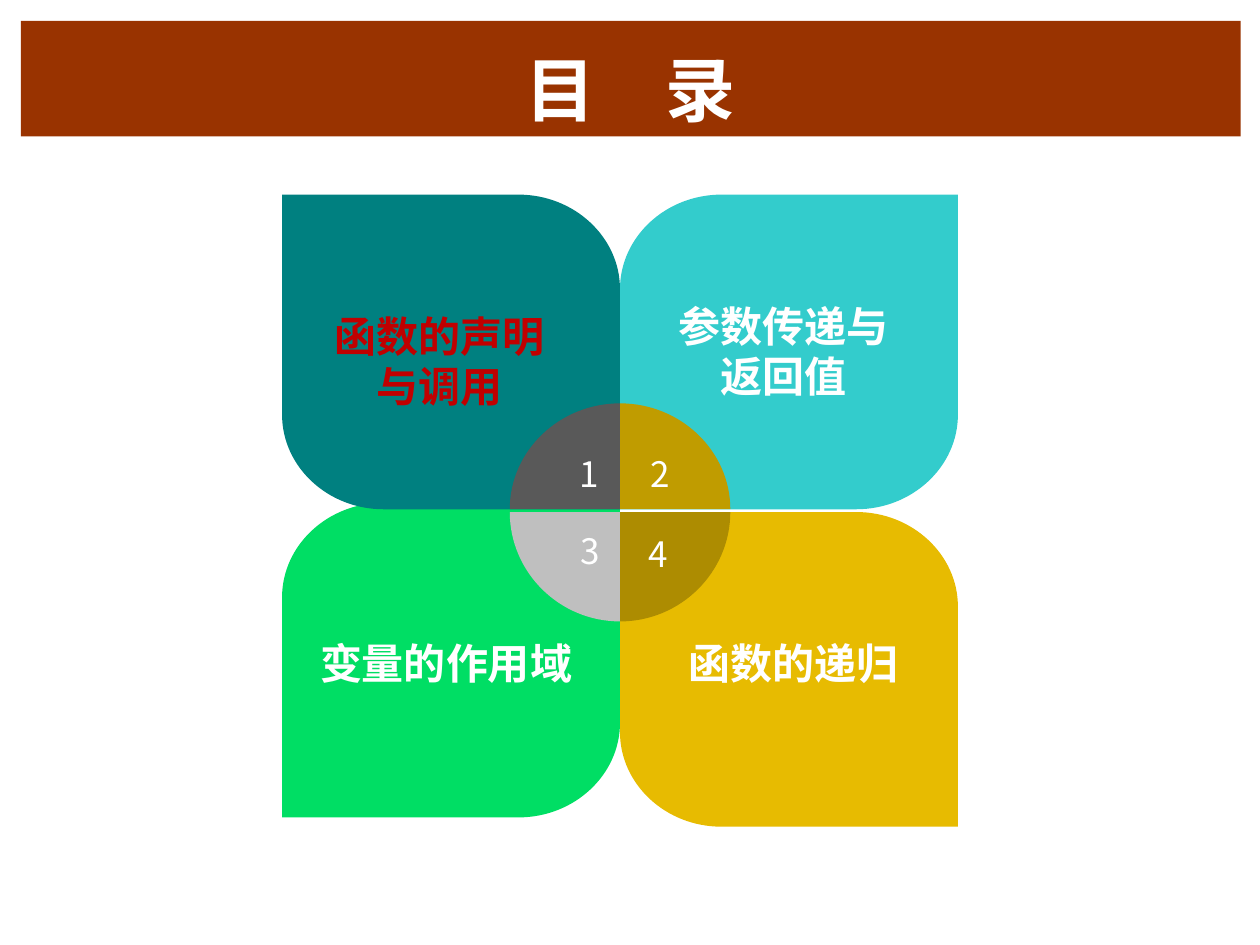
from lxml.etree import SubElement
from pptx import Presentation
from pptx.dml.color import RGBColor
from pptx.enum.shapes import MSO_SHAPE
from pptx.enum.text import MSO_ANCHOR, PP_ALIGN
from pptx.oxml.ns import qn
from pptx.util import Pt

WHITE = RGBColor(0xFF, 0xFF, 0xFF)
BROWN = RGBColor(0x99, 0x33, 0x00)
DARK_RED = RGBColor(0xC0, 0x00, 0x00)
GOLD = RGBColor(0xE7, 0xBB, 0x01)
GREEN = RGBColor(0x00, 0xDE, 0x64)
TURQUOISE = RGBColor(0x33, 0xCC, 0xCC)
TEAL = RGBColor(0x00, 0x80, 0x80)
DARK_GRAY = RGBColor(0x59, 0x59, 0x59)
OCHRE = RGBColor(0xC0, 0x9C, 0x00)
LIGHT_GRAY = RGBColor(0xBF, 0xBF, 0xBF)
OLIVE = RGBColor(0xAD, 0x8C, 0x01)

CJK_FONT = "Noto Sans CJK SC"
TITLE = "目　录"

# Petals, back to front: x and y direction from the centre, inner edge, colour
PETALS = [
    (1, 1, 292.6, GOLD),
    (-1, 1, 287.3, GREEN),
    (1, -1, 291, TURQUOISE),
    (-1, -1, 291, TEAL),
]
# Quarter discs: directions, inner edge, height, colour
QUARTERS = [
    (-1, -1, 291, 60.5, DARK_GRAY),
    (1, -1, 291, 60.5, OCHRE),
    (-1, 1, 292.6, 62.5, LIGHT_GRAY),
    (1, 1, 292.6, 62.5, OLIVE),
]
# Text, then left, top, width, height
NUMBERS = [
    ("1", (326.2, 258.5, 15.8, 24.2)),
    ("2", (366.8, 258.5, 15.8, 24.2)),
    ("3", (329.4, 302.4, 13.7, 24.2)),
    ("4", (365.8, 304.2, 15.8, 24.2)),
]
TOPICS = [
    ("函数的声明与调用", (190.1, 173.8, 122.4, 61.9), DARK_RED),
    ("参数传递与返回值", (376.9, 168, 141.8, 61.9), WHITE),
    ("变量的作用域", (161.3, 360.7, 187.2, 32.4), WHITE),
    ("函数的递归", (360, 360.7, 187.2, 32.4), WHITE),
]

CENTER_X = 354.3
PETAL_WIDTH, PETAL_HEIGHT = 193.1, 179.8
CORNER_X, CORNER_Y = 58, 54
DISC_RADIUS = 63
ROUNDNESS = 0.55  # Bezier handle length for a quarter ellipse


def round_corner(start, corner, end):
    """Bezier curve from start to end, bulging towards the corner."""
    handles = [tuple(p + ROUNDNESS * (c - p) for p, c in zip(point, corner))
               for point in (start, end)]
    return [*handles, end]


def paint(shape, color):
    shape.shadow.inherit = False
    shape.fill.solid()
    shape.fill.fore_color.rgb = color
    shape.line.fill.background()


def add_outline(start, segments, direction_x, direction_y, inner_y, color):
    """Draw segments of one point (line) or three (curve), outward from the centre."""
    points = [start] + [point for segment in segments for point in segment]
    placed = [(Pt(CENTER_X + direction_x * x), Pt(inner_y + direction_y * y))
              for x, y in points]
    builder = slide.shapes.build_freeform(*placed[0], scale=1.0)
    builder.add_line_segments(placed[1:], close=True)
    shape = builder.convert_to_shape()
    # Join the three points of each curve into one Bezier element
    lines = iter(list(shape._element.iter(qn("a:lnTo"))))
    for segment in segments:
        first, *others = [next(lines) for _ in segment]
        if others:
            first.tag = qn("a:cubicBezTo")
        for line in others:
            first.append(line[0])
            line.getparent().remove(line)
    paint(shape, color)


def write(shape, text, size, color=WHITE, bold=False, font=CJK_FONT,
          align=PP_ALIGN.CENTER, anchor=MSO_ANCHOR.TOP, margins=None):
    frame = shape.text_frame
    frame.word_wrap = True
    frame.vertical_anchor = anchor
    if margins:
        (frame.margin_left, frame.margin_top,
         frame.margin_right, frame.margin_bottom) = map(Pt, margins)
    paragraph = frame.paragraphs[0]
    paragraph.alignment = align
    run = paragraph.add_run()
    run.text = text
    run.font.size = Pt(size)
    run.font.bold = bold
    run.font.color.rgb = color
    run.font.name = font
    # East Asian typeface for the Chinese characters
    SubElement(run.font._element, qn("a:ea"), typeface=font)


presentation = Presentation()
presentation.slide_width, presentation.slide_height = Pt(720), Pt(540)
slide = presentation.slides.add_slide(presentation.slide_layouts[6])

# Title bar
title_bar = slide.shapes.add_shape(MSO_SHAPE.RECTANGLE, Pt(12), Pt(12), Pt(697), Pt(66))
paint(title_bar, BROWN)
write(title_bar, TITLE, 40, bold=True, font="DejaVu Sans", anchor=MSO_ANCHOR.BOTTOM)

# Four petals, each with two opposite corners rounded
right, bottom = PETAL_WIDTH, PETAL_HEIGHT
petal = [
    [(right - CORNER_X, 0)],
    round_corner((right - CORNER_X, 0), (right, 0), (right, CORNER_Y)),
    [(right, bottom)],
    [(CORNER_X, bottom)],
    round_corner((CORNER_X, bottom), (0, bottom), (0, bottom - CORNER_Y)),
]
for direction_x, direction_y, inner_y, color in PETALS:
    add_outline((0, 0), petal, direction_x, direction_y, inner_y, color)

# Central disc in quarters
for direction_x, direction_y, inner_y, height, color in QUARTERS:
    quarter = [
        [(DISC_RADIUS, 0)],
        round_corner((DISC_RADIUS, 0), (DISC_RADIUS, height), (0, height)),
    ]
    add_outline((0, 0), quarter, direction_x, direction_y, inner_y, color)

# Numbers and topics
for text, box in NUMBERS:
    write(slide.shapes.add_textbox(*map(Pt, box)), text, 20,
          align=PP_ALIGN.RIGHT, margins=(0, 0, 0, 0))
for text, box, color in TOPICS:
    write(slide.shapes.add_textbox(*map(Pt, box)), text, 24, color=color,
          bold=True, margins=(0, 3.6, 0, 0))

presentation.save("out.pptx")
